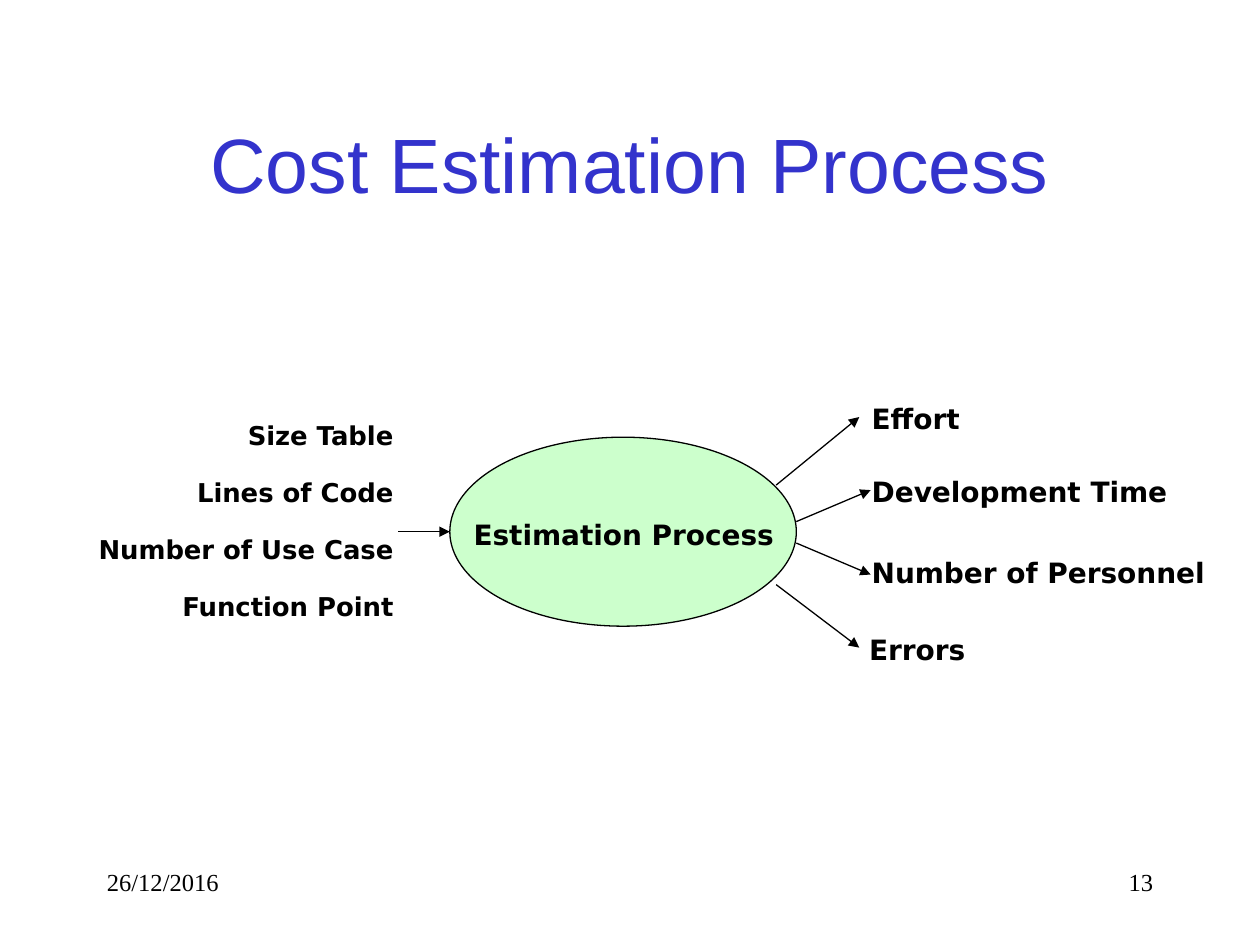
from pptx import Presentation
from pptx import util as u
from pptx.dml.color import RGBColor
from pptx.enum import shapes, text
from pptx.oxml.ns import qn
from lxml import etree

BLACK = "000000"
LEFT, RIGHT = text.PP_ALIGN.LEFT, text.PP_ALIGN.RIGHT


def color(value):
    return RGBColor.from_string(value)


def write(shape, lines, size, font, bold=False, align=LEFT, ink=BLACK):
    frame = shape.text_frame
    frame.word_wrap = True
    frame.text = "\n".join(lines)
    for paragraph in frame.paragraphs:
        paragraph.alignment = align
        for run in paragraph.runs:
            run.font.size = u.Pt(size)
            run.font.name = font
            run.font.bold = bold
            run.font.color.rgb = color(ink)
    return frame


presentation = Presentation()
presentation.slide_width, presentation.slide_height = u.Inches(10), u.Inches(7.5)
slide = presentation.slides.add_slide(presentation.slide_layouts[5])

# Title
title = slide.shapes.title
title.left, title.top = u.Inches(0.75), u.Inches(0.67)
title.width, title.height = u.Inches(8.5), u.Inches(1.25)
frame = write(title, ["Cost Estimation Process"], 44, "Arial",
              align=text.PP_ALIGN.CENTER, ink="3333CC")
frame.vertical_anchor = text.MSO_ANCHOR.MIDDLE

# Process ellipse
ellipse = slide.shapes.add_shape(shapes.MSO_SHAPE.OVAL, u.Inches(3.57), u.Inches(3.47),
                                 u.Inches(2.75), u.Inches(1.5))
ellipse.shadow.inherit = False
ellipse.fill.solid()
ellipse.fill.fore_color.rgb = color("CCFFCC")
ellipse.line.color.rgb = color(BLACK)
ellipse.line.width = u.Pt(0.74)

# Process name and outputs
labels = [
    ("Estimation Process", 3.66, 4.06, 2.75),
    ("Effort", 6.82, 3.14, 1.13),
    ("Development Time", 6.82, 3.72, 3),
    ("Number of Personnel", 6.82, 4.36, 2.92),
    ("Errors", 6.8, 4.97, 1.13),
]
for label, left, top, width in labels:
    box = slide.shapes.add_textbox(u.Inches(left), u.Inches(top), u.Inches(width), u.Inches(0.37))
    write(box, [label], 16, "DejaVu Sans", bold=True)

# Inputs
inputs = ["Size Table", "Lines of Code", "Number of Use Case", "Function Point"]
box = slide.shapes.add_textbox(u.Inches(0.47), u.Inches(3.31), u.Inches(2.75), u.Inches(1.92))
frame = write(box, inputs, 14.8, "DejaVu Sans", bold=True, align=RIGHT)
for index, paragraph in enumerate(frame.paragraphs):
    paragraph.line_spacing = 0.9
    if index:
        paragraph.space_before = u.Pt(16.5)

# Arrows into and out of the process
arrows = [
    (3.16, 4.22, 3.57, 4.22),
    (6.16, 3.85, 6.82, 3.31),
    (6.32, 4.14, 6.91, 3.89),
    (6.32, 4.31, 6.91, 4.56),
    (6.16, 4.64, 6.82, 5.14),
]
for ends in arrows:
    arrow = slide.shapes.add_connector(shapes.MSO_CONNECTOR.STRAIGHT, *map(u.Inches, ends))
    arrow.line.color.rgb = color(BLACK)
    arrow.line.width = u.Pt(0.74)
    etree.SubElement(arrow.line._get_or_add_ln(), qn("a:tailEnd"), type="triangle")
    etree.SubElement(arrow._element.spPr, qn("a:effectLst"))

# Date and slide number
for label, left, align in [("26/12/2016", 0.75, LEFT), ("13", 7.17, RIGHT)]:
    box = slide.shapes.add_textbox(u.Inches(left), u.Inches(6.83), u.Inches(2.08), u.Inches(0.5))
    write(box, [label], 14, "Times New Roman", align=align)

presentation.save("out.pptx")
